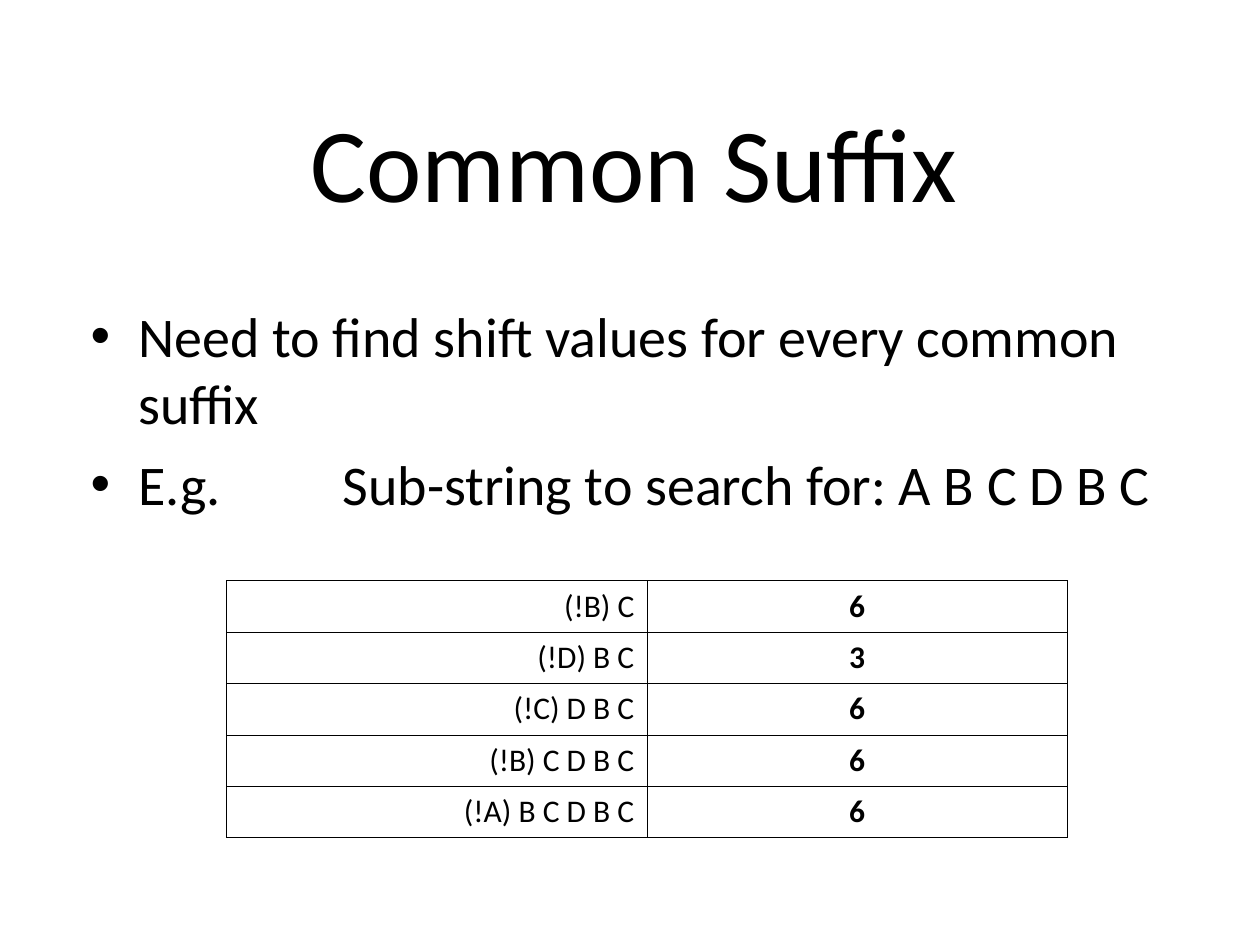
import dataclasses
import typing

import lxml.etree
import pptx
import pptx.dml.color
import pptx.enum.text
import pptx.oxml.ns
import pptx.util

Inches = pptx.util.Inches
Pt = pptx.util.Pt
Align = pptx.enum.text.PP_ALIGN
qn = pptx.oxml.ns.qn


@dataclasses.dataclass(frozen=True)
class Theme:
    font: str = "Calibri"
    ink: str = "000000"
    paper: str = "FFFFFF"
    title: int = 60
    body: int = 32
    cell: int = 18
    rule: float = 0.45


class Shift(typing.NamedTuple):
    suffix: str
    value: int


THEME = Theme()
POINTS = [
    "Need to find shift values for every common suffix",
    "E.g.\tSub-string to search for: A B C D B C",
]
SHIFTS = [
    Shift("(!B) C", 6),
    Shift("(!D) B C", 3),
    Shift("(!C) D B C", 6),
    Shift("(!B) C D B C", 6),
    Shift("(!A) B C D B C", 6),
]


def add(parent, tag: str, **attrs):
    """Append a drawing element to its parent."""
    return lxml.etree.SubElement(parent, qn(tag), attrs)


def style(par, size: int, align, bold: bool = False) -> None:
    """Set the alignment and font of a paragraph."""
    par.alignment = align
    par.font.name = THEME.font
    par.font.size = Pt(size)
    par.font.bold = bold
    par.font.color.rgb = pptx.dml.color.RGBColor.from_string(THEME.ink)


def bullet(par) -> None:
    """Give a paragraph a hanging bullet and inch tabs."""
    props = par._p.get_or_add_pPr()
    props.set("marL", str(Inches(0.38)))
    props.set("indent", str(-Inches(0.38)))
    color = add(props, "a:buClr")
    add(color, "a:srgbClr", val=THEME.ink)
    add(props, "a:buFont", typeface="Arial")
    add(props, "a:buChar", char="•")
    tabs = add(props, "a:tabLst")
    for inch in range(1, 9):
        add(tabs, "a:tab", pos=str(Inches(inch)), algn="l")


def border(cell) -> None:
    """Rule all four sides of a cell."""
    props = cell._tc.get_or_add_tcPr()
    for spot, side in enumerate(("a:lnL", "a:lnR", "a:lnT", "a:lnB")):
        line = lxml.etree.Element(qn(side), w=str(Pt(THEME.rule)))
        fill = add(line, "a:solidFill")
        add(fill, "a:srgbClr", val=THEME.ink)
        props.insert(spot, line)


def fill_cell(cell, text: str, align, bold: bool) -> None:
    """Write and format one table cell."""
    cell.text = text
    style(cell.text_frame.paragraphs[0], THEME.cell, align, bold)
    cell.fill.solid()
    cell.fill.fore_color.rgb = pptx.dml.color.RGBColor.from_string(THEME.paper)
    border(cell)


def add_title(slide) -> None:
    """Place and format the slide title."""
    title = slide.shapes.title
    title.left, title.top = Inches(0.78), Inches(0.47)
    title.width, title.height = Inches(8.5), Inches(1.61)
    frame = title.text_frame
    frame.text = "Common Suffix"
    frame.vertical_anchor = pptx.enum.text.MSO_ANCHOR.MIDDLE
    style(frame.paragraphs[0], THEME.title, Align.CENTER)


def add_points(slide) -> None:
    """Add the bulleted text."""
    box = slide.shapes.add_textbox(
        Inches(0.62), Inches(2.34), Inches(8.75), Inches(3.82)
    )
    frame = box.text_frame
    frame.word_wrap = True
    for spot, text in enumerate(POINTS):
        par = frame.add_paragraph() if spot else frame.paragraphs[0]
        par.text = text
        bullet(par)
        style(par, THEME.body, Align.LEFT)
        par.space_before = Pt(8 if spot else 0)


def add_shifts(slide) -> None:
    """Add the table of suffixes and shift values."""
    table = slide.shapes.add_table(
        len(SHIFTS), 2, Inches(1.8), Inches(4.61), Inches(6.67), Inches(2.04)
    ).table
    for row, shift in enumerate(SHIFTS):
        fill_cell(table.cell(row, 0), shift.suffix, Align.RIGHT, False)
        fill_cell(table.cell(row, 1), str(shift.value), Align.CENTER, True)


def main() -> None:
    """Build and save the slide."""
    deck = pptx.Presentation()
    deck.slide_width, deck.slide_height = Inches(10), Inches(7.5)
    slide = deck.slides.add_slide(deck.slide_layouts[5])
    add_title(slide)
    add_points(slide)
    add_shifts(slide)
    deck.save("out.pptx")


if __name__ == "__main__":
    main()
